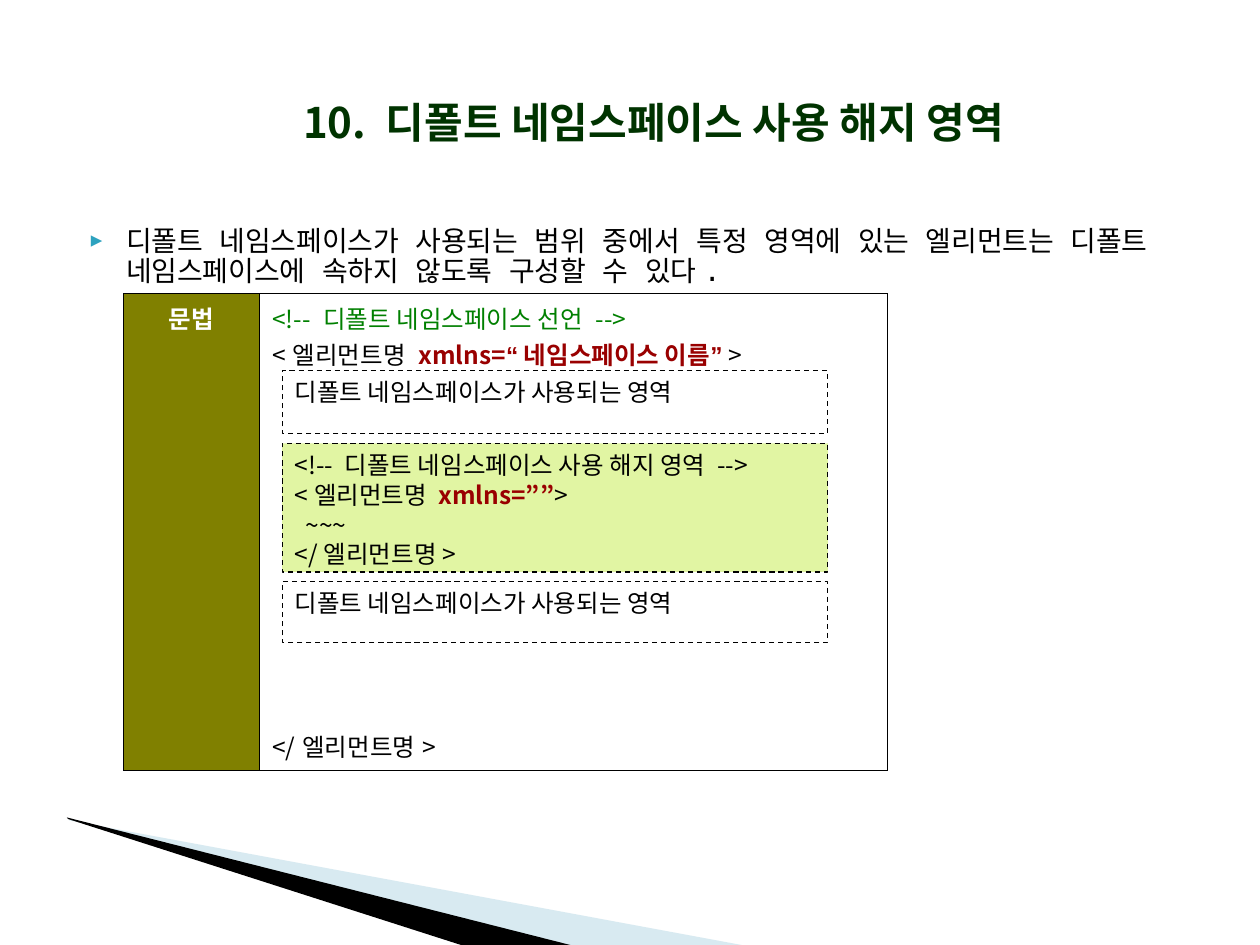
"""Build the slide on releasing an area from the default XML namespace."""
from lxml import etree
from pptx import Presentation, util as u
from pptx.dml.color import RGBColor
from pptx.enum import dml, shapes, text
from pptx.oxml import ns

Cm, Pt = u.Cm, u.Pt
BLACK = RGBColor(0x00, 0x00, 0x00)
WHITE = RGBColor(0xFF, 0xFF, 0xFF)
FOREST = RGBColor(0x00, 0x33, 0x00)
GREEN = RGBColor(0x00, 0x80, 0x00)
RED = RGBColor(0x99, 0x00, 0x00)
OLIVE = RGBColor(0x80, 0x80, 0x00)
LIME = RGBColor(0xE1, 0xF5, 0xA3)
SKY = RGBColor(0x9F, 0xCB, 0xDC)
TEAL = RGBColor(0x2D, 0xA2, 0xBF)
KR, MONO, ARIAL = "Noto Sans CJK KR", "DejaVu Sans Mono", "Arial"

TITLE = [("10. 디폴트 네임스페이스 사용 해지 영역", FOREST, True, KR)]
BODY = [("디폴트 네임스페이스가 사용되는 범위 중에서 특정 영역에 있는 엘리먼트는 "
         "디폴트 네임스페이스에 속하지 않도록 구성할 수 있다.", BLACK, False, MONO)]
HEADING = [("문법", WHITE, True, KR)]
OPEN = ("<엘리먼트명 ", BLACK, False, KR)
END = (">", BLACK, False, KR)
CLOSE = [("</엘리먼트명>", BLACK, False, KR)]
SYNTAX = [
    [("<!-- 디폴트 네임스페이스 선언 -->", GREEN, False, KR)],
    [OPEN, ("xmlns=", RED, True, KR), ("“", RED, True, ARIAL),
     ("네임스페이스 이름", RED, True, KR), ("”", RED, True, ARIAL), END],
    CLOSE,
]
USED = [[("디폴트 네임스페이스가 사용되는 영역", BLACK, False, KR)]]
RELEASED = [
    [("<!-- 디폴트 네임스페이스 사용 해지 영역 -->", BLACK, False, KR)],
    [OPEN, ("xmlns=””", RED, True, KR), END],
    [("  ~~~", BLACK, False, KR)],
    CLOSE,
]
AREAS = [(1.27, WHITE, USED), (2.59, LIME, RELEASED), (1.22, WHITE, USED)]
AREA_LEFT, AREA_TOP, AREA_WIDTH, AREA_GAP = 5.69, 7.47, 11, 0.2
COLUMNS, ROW_HEIGHT = (2.74, 12.65), 9.6
WEDGES = [
    (SKY, 40, [(1.4, 16.54), (15.11, 19.08), (11.58, 19.08), (1.4, 16.51)]),
    (BLACK, 100, [(1.35, 16.48), (11.61, 19.08), (9.45, 19.1), (1.37, 16.51)]),
]


def sub(parent, tag, **attrs):
    return etree.SubElement(parent, ns.qn(tag), attrs)


def fill(target, color):
    target.fill.solid()
    target.fill.fore_color.rgb = color


def write(p, runs, size):
    for words, color, bold, font in runs:
        r = p.add_run()
        r.text = words
        r.font.size, r.font.bold, r.font.name = Pt(size), bold, font
        r.font.color.rgb = color
        sub(r.font._element, "a:ea", typeface=font)


def write_lines(tf, lines, size=14, spacing=None):
    for i, runs in enumerate(lines):
        p = tf.add_paragraph() if i else tf.paragraphs[0]
        p.alignment = text.PP_ALIGN.LEFT
        p.line_spacing = spacing
        write(p, runs, size)


def place(sp, left, top, width, height):
    sp.left, sp.top, sp.width, sp.height = map(Cm, (left, top, width, height))
    sp.text_frame.auto_size = text.MSO_AUTO_SIZE.NONE


def add_wedge(s, color, opacity, points):
    builder = s.shapes.build_freeform(*map(Cm, points[0]))
    builder.add_line_segments([(Cm(x), Cm(y)) for x, y in points[1:]])
    sp = builder.convert_to_shape()
    sp.shadow.inherit = False
    fill(sp, color)
    sp.line.fill.background()
    rgb = sp._element.spPr.find(ns.qn("a:solidFill"))[0]
    sub(rgb, "a:alpha", val=str(opacity * 1000))


def add_heading(s):
    place(s.shapes.title, 4.09, 1.57, 18.16, 1.75)
    tf = s.shapes.title.text_frame
    tf.vertical_anchor = text.MSO_ANCHOR.MIDDLE
    tf.paragraphs[0].alignment = text.PP_ALIGN.CENTER
    write(tf.paragraphs[0], TITLE, 24)


def add_body(s):
    sp = s.placeholders[1]
    place(sp, 1.27, 4.45, 22.83, 1.47)
    p = sp.text_frame.paragraphs[0]
    p.line_spacing, p.space_before = 0.9, Pt(0)
    pPr = p._p.get_or_add_pPr()
    pPr.set("marL", str(Cm(1.02)))
    pPr.set("indent", str(-Cm(0.71)))
    sub(sub(pPr, "a:buClr"), "a:srgbClr", val=str(TEAL))
    sub(pPr, "a:buSzPct", val="68000")
    sub(pPr, "a:buFont", typeface=MONO)
    sub(pPr, "a:buChar", char="▶")
    write(p, BODY, 16)


def add_syntax_table(s):
    frame = s.shapes.add_table(1, 2, Cm(2.49), Cm(5.92),
                               Cm(sum(COLUMNS)), Cm(ROW_HEIGHT))
    table = frame.table
    table.first_row = table.horz_banding = False
    for column, width in zip(table.columns, COLUMNS):
        column.width = Cm(width)
    for cell, color in zip(table.rows[0].cells, (OLIVE, WHITE)):
        tcPr = cell._tc.get_or_add_tcPr()
        for side in ("a:lnL", "a:lnR", "a:lnT", "a:lnB"):
            ln = sub(tcPr, side, w=str(Pt(0.45)))
            sub(sub(ln, "a:solidFill"), "a:srgbClr", val=str(BLACK))
        fill(cell, color)
    head, syntax = table.rows[0].cells
    write_lines(head.text_frame, [HEADING])
    head.text_frame.paragraphs[0].alignment = text.PP_ALIGN.CENTER
    write_lines(syntax.text_frame, SYNTAX)
    syntax.text_frame.paragraphs[-1].space_before = Pt(204)


def add_areas(s):
    top = AREA_TOP
    for height, color, lines in AREAS:
        sp = s.shapes.add_shape(shapes.MSO_SHAPE.RECTANGLE, 0, 0, 0, 0)
        place(sp, AREA_LEFT, top, AREA_WIDTH, height)
        sp.shadow.inherit = False
        fill(sp, color)
        sp.line.color.rgb, sp.line.width = BLACK, Pt(0.75)
        sp.line.dash_style = dml.MSO_LINE.DASH
        sp.text_frame.word_wrap = True
        sp.text_frame.vertical_anchor = text.MSO_ANCHOR.TOP
        write_lines(sp.text_frame, lines, spacing=Pt(17))
        top += height + AREA_GAP


def main():
    prs = Presentation()
    prs.slide_width, prs.slide_height = Cm(25.4), Cm(19.05)
    s = prs.slides.add_slide(prs.slide_layouts[1])
    for wedge in WEDGES:
        add_wedge(s, *wedge)
    add_heading(s)
    add_body(s)
    add_syntax_table(s)
    add_areas(s)
    prs.save("out.pptx")


if __name__ == "__main__":
    main()
